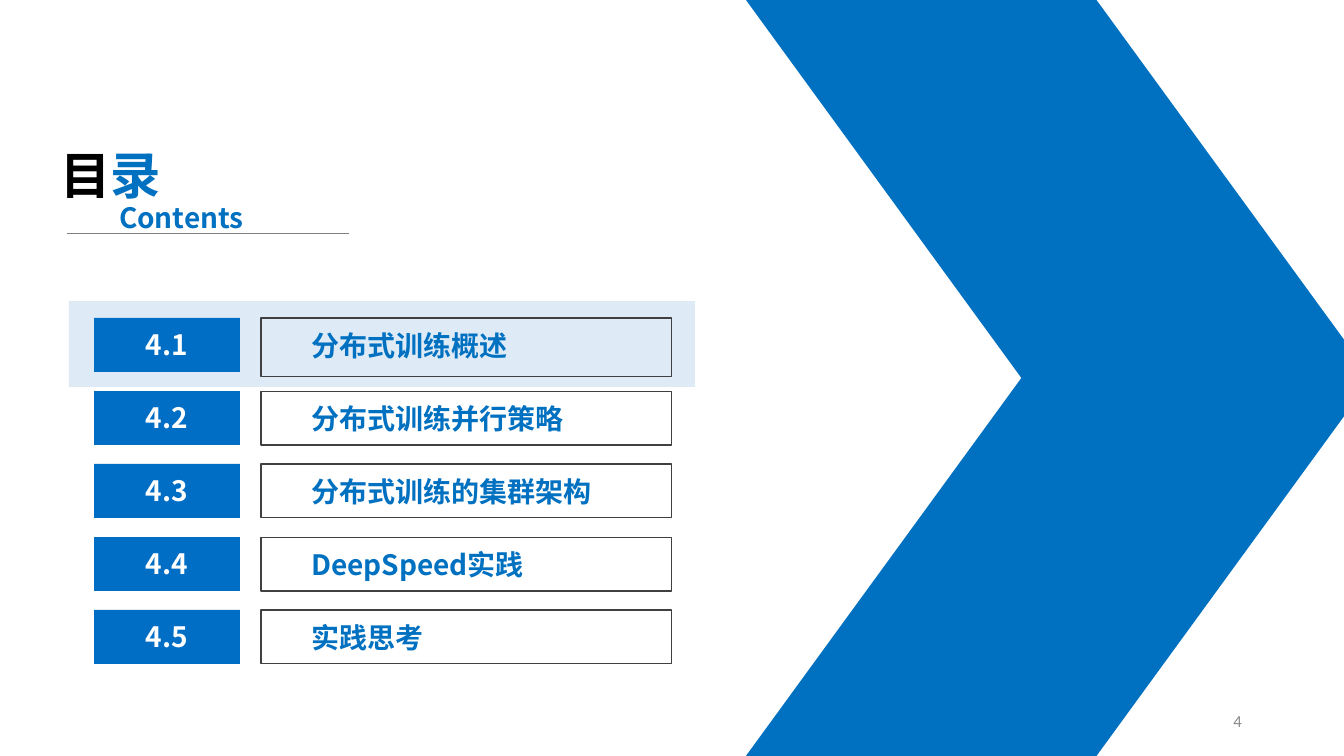
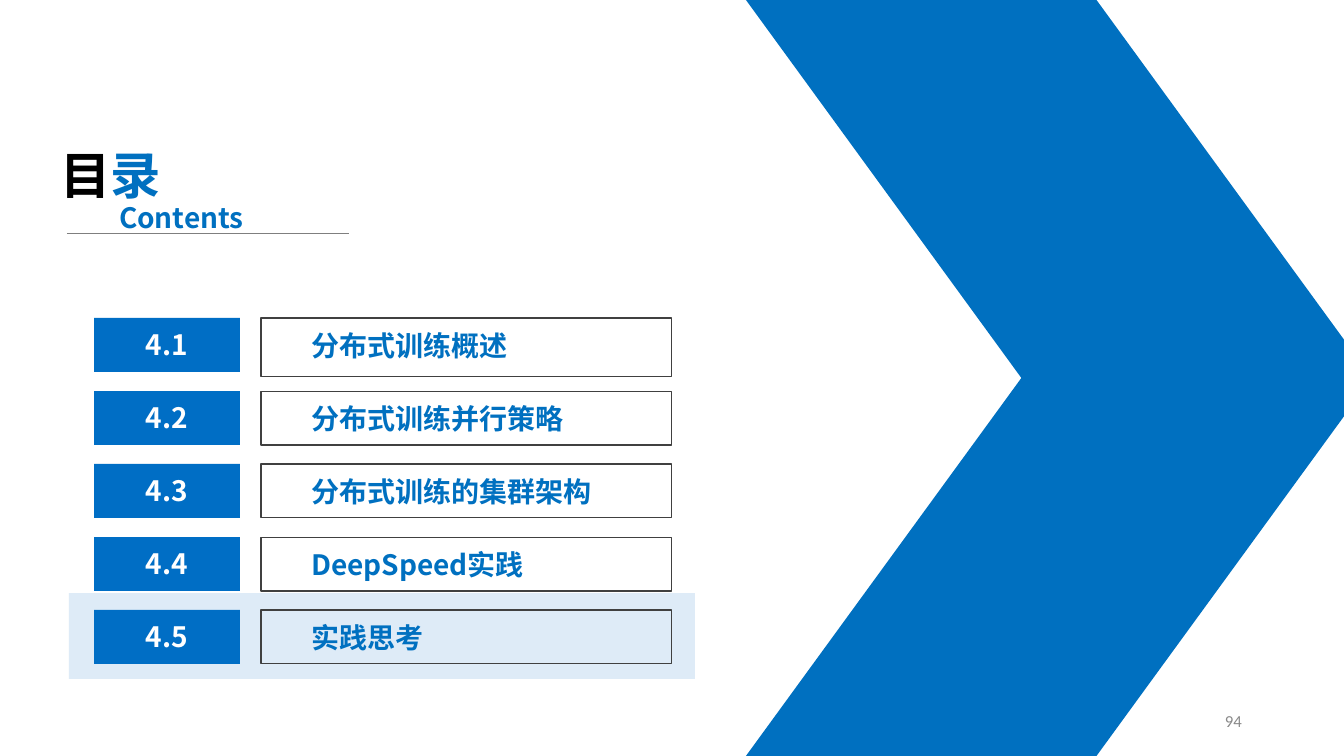
import pptx
import pptx.dml.color
import pptx.enum.shapes
import pptx.enum.text
import pptx.oxml
import pptx.oxml.ns
import pptx.util

COLORS = {
    "black": "000000",
    "white": "FFFFFF",
    "blue": "0070C0",
    "label": "006EC5",
    "highlight": "DEEBF7",
    "border": "404040",
    "rule": "7F7F7F",
    "page": "898989",
}
SHAPE = pptx.enum.shapes.MSO_SHAPE
ALIGN = pptx.enum.text.PP_ALIGN
ANCHOR = pptx.enum.text.MSO_ANCHOR

TOPICS = ["分布式训练概述", "分布式训练并行策略", "分布式训练的集群架构", "DeepSpeed实践", "实践思考"]
ROW_TOP, ROW_PITCH, ROW_HEIGHT = 318, 73, 54


def px(n):
    return pptx.util.Emu(round(n * 12192000 / 1344))


def rgb(name):
    return pptx.dml.color.RGBColor.from_string(COLORS[name])


class Deck:
    font = "Noto Sans CJK SC"
    number_font = "Calibri"

    def __init__(self):
        self.prs = pptx.Presentation()
        self.prs.slide_width, self.prs.slide_height = px(1344), px(756)
        self.slide = None

    def new_slide(self):
        self.slide = self.prs.slides.add_slide(self.prs.slide_layouts[5])

    def set_text(self, sp, runs, size=20, align=ALIGN.LEFT, anchor=ANCHOR.TOP,
                 margins=(10, 5), font=font, bold=True):
        """Fill a shape with one paragraph of (text, colour) runs; margins are (left and right, top)."""
        tf = sp.text_frame
        tf.word_wrap = True
        tf.auto_size = pptx.enum.text.MSO_AUTO_SIZE.NONE
        tf.vertical_anchor = anchor
        tf.margin_left = tf.margin_right = px(margins[0])
        tf.margin_top, tf.margin_bottom = px(margins[1]), 0
        p = tf.paragraphs[0]
        p.alignment = align
        p.font.size, p.font.bold, p.font.name = pptx.util.Pt(size), bold, font
        east_asian = pptx.oxml.parse_xml(
            f'<a:ea {pptx.oxml.ns.nsdecls("a")} typeface="{font}"/>')
        p._p.pPr.find(pptx.oxml.ns.qn("a:defRPr")).append(east_asian)
        for text, color in runs:
            r = p.add_run()
            r.text = text
            r.font.color.rgb = rgb(color)

    def title(self, x, y, w, h, runs):
        sp = self.slide.shapes.title
        sp.left, sp.top, sp.width, sp.height = map(px, (x, y, w, h))
        self.set_text(sp, runs, size=36)

    def text(self, x, y, w, h, text, color, **style):
        sp = self.slide.shapes.add_textbox(*map(px, (x, y, w, h)))
        self.set_text(sp, [(text, color)], **style)

    def shape(self, x, y, w, h, fill=None, line=None, kind=SHAPE.RECTANGLE):
        sp = self.slide.shapes.add_shape(kind, *map(px, (x, y, w, h)))
        sp.shadow.inherit = False
        if fill:
            sp.fill.solid()
            sp.fill.fore_color.rgb = rgb(fill)
        else:
            sp.fill.background()
        if line:
            sp.line.color.rgb = rgb(line)
            sp.line.width = pptx.util.Pt(0.75)
        else:
            sp.line.fill.background()
        return sp

    def rule(self, x1, x2, y):
        line = self.slide.shapes.add_connector(
            pptx.enum.shapes.MSO_CONNECTOR.STRAIGHT, px(x1), px(y), px(x2), px(y))
        line.line.color.rgb = rgb("rule")
        line.line.width = pptx.util.Pt(0.5)
        line._element.spPr.append(
            pptx.oxml.parse_xml(f'<a:effectLst {pptx.oxml.ns.nsdecls("a")}/>'))

    def topic_row(self, index, topic):
        y = ROW_TOP + index * ROW_PITCH
        box_height = 59 if index == 0 else ROW_HEIGHT
        box = self.shape(261, y, 411, box_height, line="border")
        self.set_text(box, [(topic, "blue")], margins=(50, 10))
        label = self.shape(94, y, 146, ROW_HEIGHT, fill="label")
        self.set_text(label, [(f"4.{index + 1}", "white")], align=ALIGN.CENTER, margins=(10, 9))

    def contents(self, current, page):
        """Add a contents slide with the topic at index current highlighted."""
        self.new_slide()
        self.shape(69, ROW_TOP + current * ROW_PITCH - 17, 626, 86, fill="highlight")
        chevron = self.shape(746, 0, 626, 756, fill="blue", kind=SHAPE.CHEVRON)
        chevron.adjustments[0] = 0.44
        self.title(50, 139, 158, 72, [("目", "black"), ("录", "blue")])
        self.rule(67, 349, 233)
        self.text(109, 195, 158, 44, "Contents", "blue")
        for index, topic in enumerate(TOPICS):
            self.topic_row(index, topic)
        self.text(950, 701, 302, 40, str(page), "page", size=12, align=ALIGN.RIGHT,
                  anchor=ANCHOR.MIDDLE, margins=(10, 0), font=self.number_font, bold=False)


def main():
    deck = Deck()
    deck.contents(current=0, page=4)
    deck.contents(current=4, page=94)
    deck.prs.save("out.pptx")


if __name__ == "__main__":
    main()
